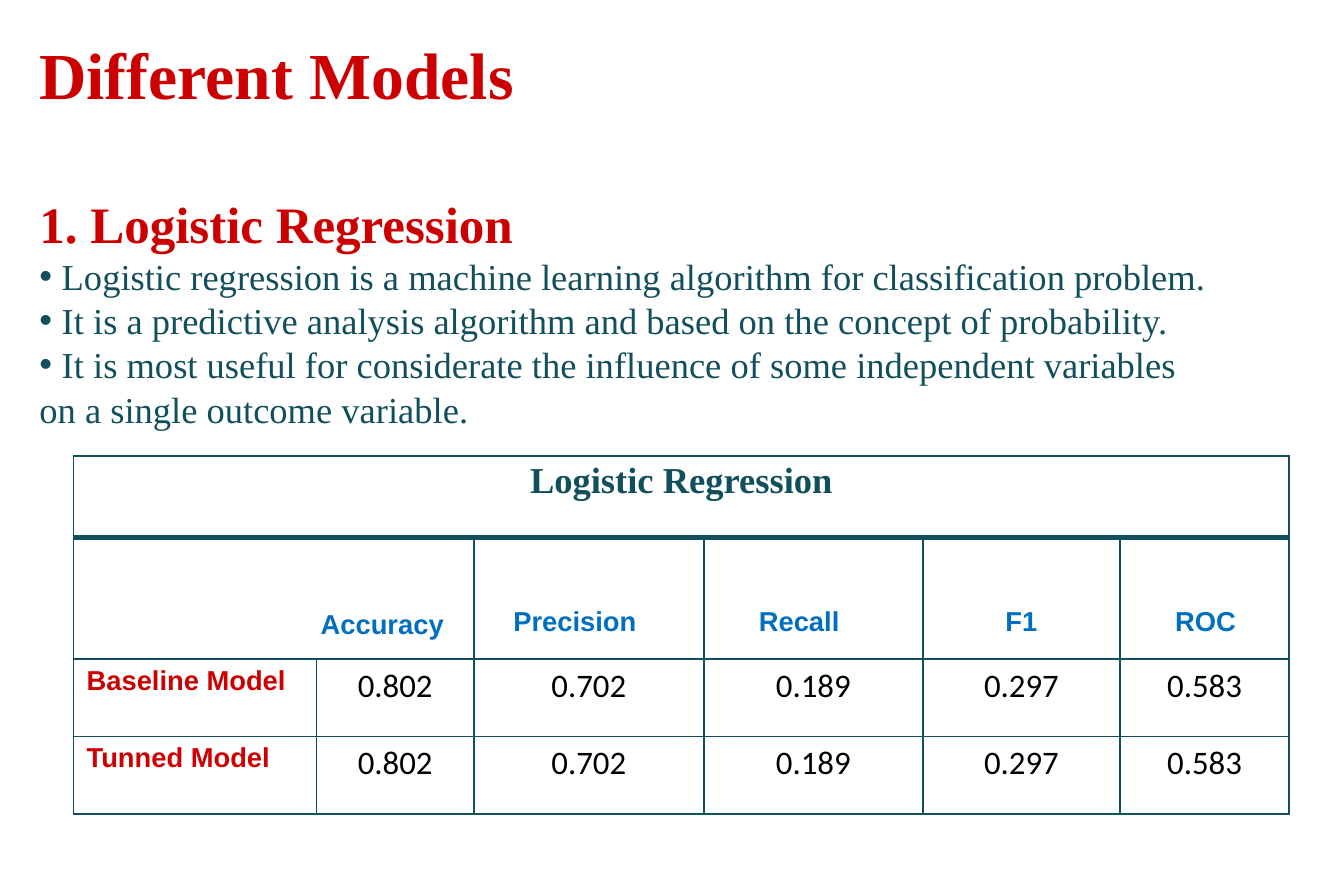
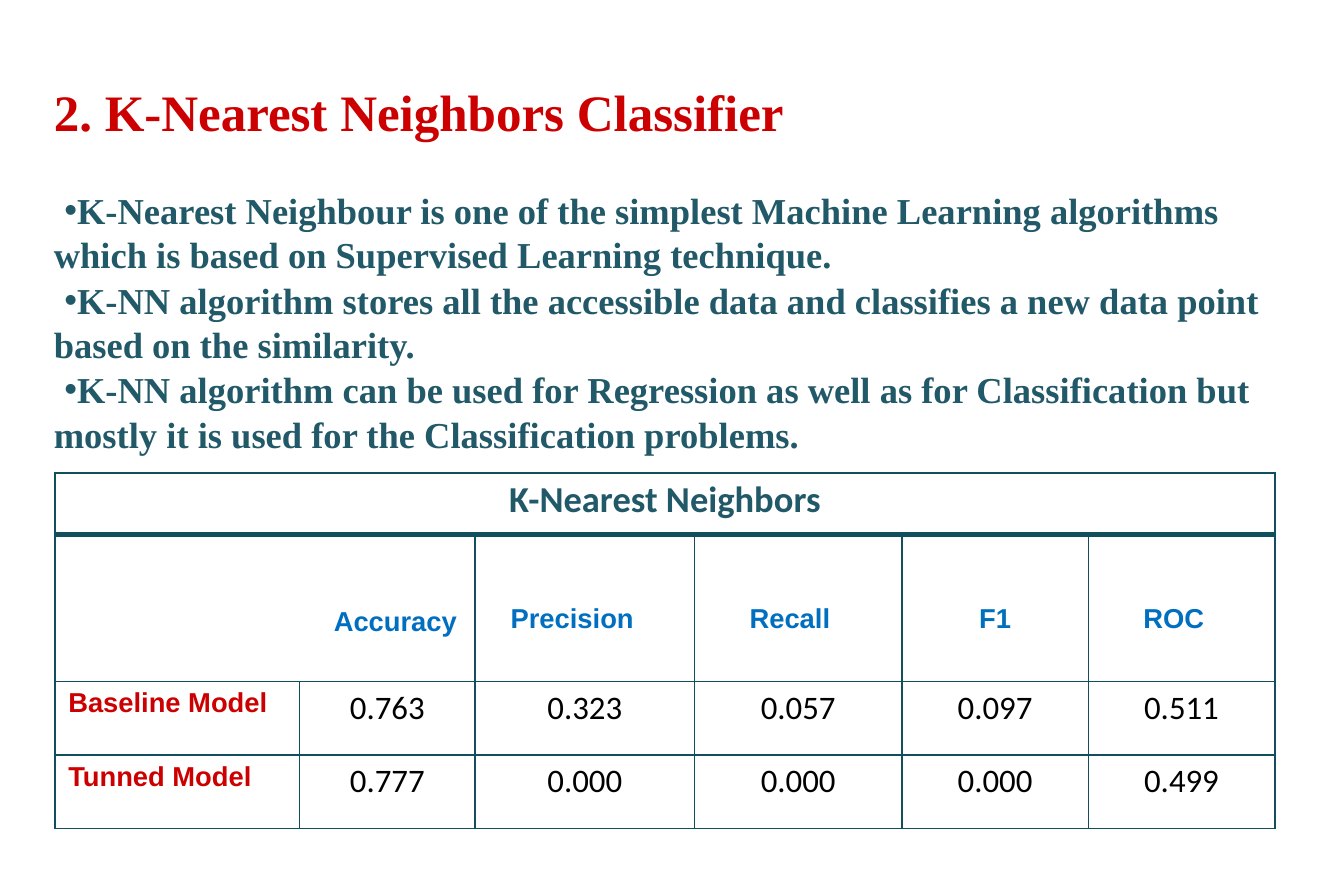
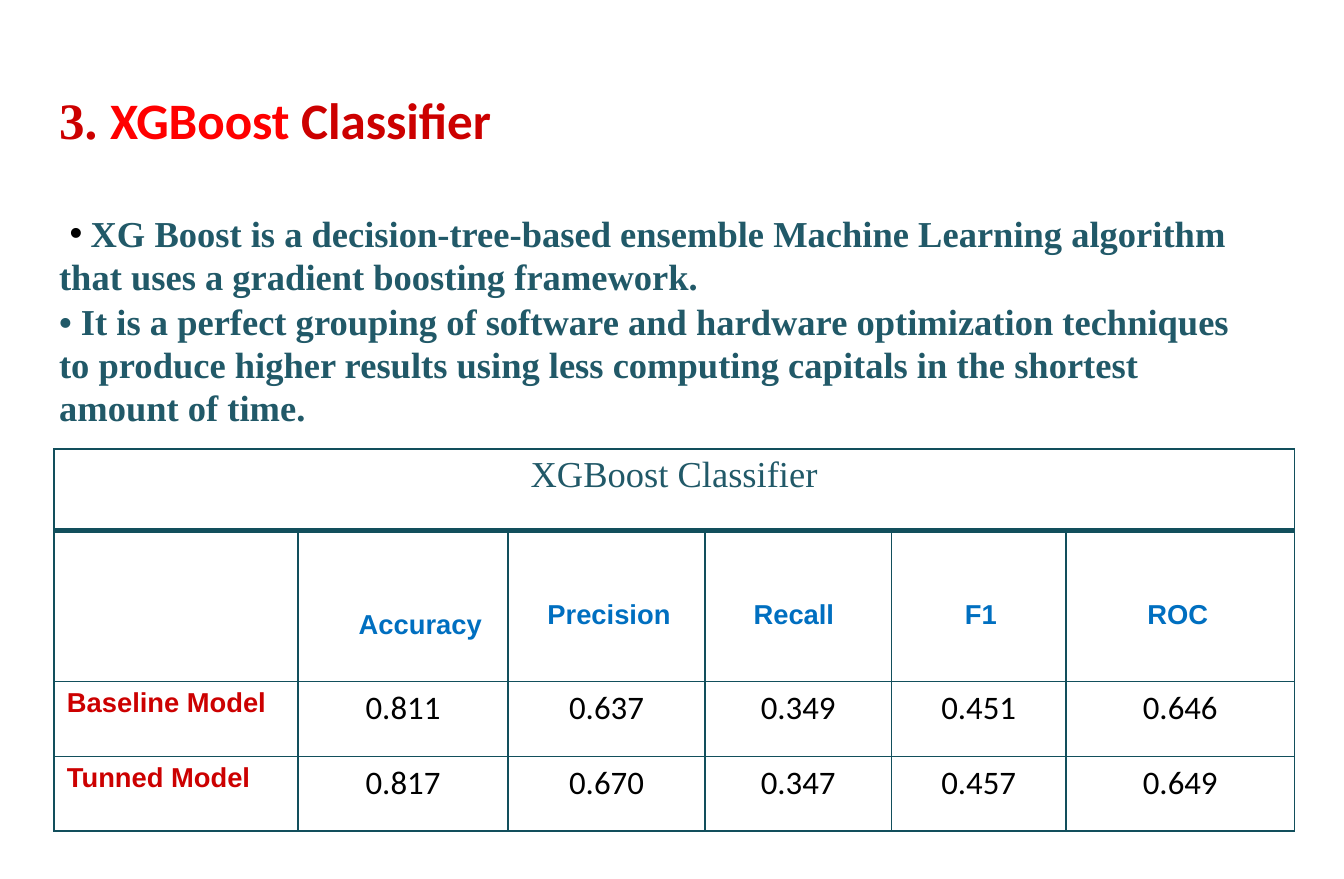
from dataclasses import dataclass
from lxml import etree
from pptx import Presentation
from pptx.dml import color
from pptx.enum import text
from pptx.oxml import ns
from pptx.util import Inches, Pt


@dataclass(frozen=True)
class Style:
    font: str
    size: int
    color: str
    bold: bool = False


class Theme:
    serif, sans, plain = "Times New Roman", "Arial", "Calibri"
    red, bright_red, blue, black = "CC0000", "FF0000", "006FC0", "000000"
    teal, slate = "124F5C", "215968"
    title = Style(serif, 36, red, True)
    heading = Style(serif, 28, red, True)
    heading_bright = Style(plain, 28, bright_red, True)
    heading_plain = Style(plain, 28, red, True)
    body = Style(serif, 20, teal)
    body_bold = Style(serif, 20, slate, True)
    bullet_gap = Style(plain, 20, black)
    metric = Style(sans, 15, blue, True)
    model = Style(sans, 15, red, True)
    value = Style(plain, 18, black)
    line, thick_line = 1, 3


def fill_paragraph(para, runs, align=text.PP_ALIGN.LEFT):
    para.alignment = align
    for words, style in runs:
        span = para.add_run()
        span.text = words
        span.font.name = style.font
        span.font.size = Pt(style.size)
        span.font.bold = style.bold
        span.font.color.rgb = color.RGBColor.from_string(style.color)


def outline_cell(cell, row):
    widths = {
        "lnL": Theme.line,
        "lnR": Theme.line,
        "lnT": Theme.thick_line if row == 1 else Theme.line,
        "lnB": Theme.thick_line if row == 0 else Theme.line,
    }
    props = cell._tc.get_or_add_tcPr()
    for side, width in widths.items():
        edge = etree.SubElement(props, ns.qn(f"a:{side}"), w=str(Pt(width)))
        fill = etree.SubElement(edge, ns.qn("a:solidFill"))
        etree.SubElement(fill, ns.qn("a:srgbClr"), val=Theme.teal)
    cell.fill.background()


cm_per_inch = 2.54
metrics = ["Accuracy", "Precision", "Recall", "F1", "ROC"]
models = ["Baseline Model", "Tunned Model"]
hanging, inset, flush = (0.18, -0.17), (0.01, 0.08), (0.01, 0)

slides = [
    {
        "title": [("Different Models", Theme.title)],
        "title_box": (0.29, 0.24, 3.66, 0.63),
        "body_box": (0.29, 1.45, 9.18, 1.83),
        "pitch": 24.1,
        "before": 0.1,
        "body": [
            ([("1. Logistic Regression", Theme.heading)], False, flush),
            ([("Logistic regression is a machine learning algorithm for classification problem.", Theme.body)], True, hanging),
            ([("It is a predictive analysis algorithm and based on the concept of probability.", Theme.body)], True, hanging),
            ([("It is most useful for considerate the influence of some independent variables", Theme.body)], True, hanging),
            ([("on a single outcome variable.", Theme.body)], False, flush),
        ],
        "caption": ("Logistic Regression", Style(Theme.serif, 20, Theme.teal, True)),
        "table_at": (0.56, 3.47),
        "columns": [1.85, 1.2, 1.75, 1.67, 1.5, 1.29],
        "rows": [0.62, 0.93, 0.59, 0.59],
        "joined": True,
        "accuracy_drop": 0.55,
        "accuracy_right": 0.23,
        "insets": [0, 0.3, 0.42, None, 0.42],
        "values": [["0.802", "0.702", "0.189", "0.297", "0.583"]] * 2,
    },
    {
        "title": [("2. K-Nearest Neighbors Classifier", Theme.heading)],
        "title_box": (0.4, 0.6, 5.97, 0.49),
        "body_box": (0.4, 1.42, 9.3, 2.78),
        "pitch": 24.2,
        "before": 0.7,
        "body": [
            ([("K-Nearest Neighbour is one of the simplest Machine Learning algorithms which is based on Supervised Learning technique.", Theme.body_bold)], True, inset),
            ([("K-NN algorithm stores all the accessible data and classifies a new data point based on the similarity.", Theme.body_bold)], True, inset),
            ([("K-NN algorithm can be used for Regression as well as for Classification but mostly it is used for the Classification problems.", Theme.body_bold)], True, inset),
        ],
        "caption": ("K-Nearest Neighbors", Style(Theme.plain, 20, Theme.slate, True)),
        "table_at": (0.42, 3.6),
        "columns": [1.86, 1.34, 1.67, 1.58, 1.42, 1.42],
        "rows": [0.47, 1.12, 0.56, 0.56],
        "joined": True,
        "accuracy_drop": 0.55,
        "accuracy_right": 0.14,
        "insets": [0, 0.27, 0.42, None, 0.42],
        "values": [
            ["0.763", "0.323", "0.057", "0.097", "0.511"],
            ["0.777", "0.000", "0.000", "0.000", "0.499"],
        ],
    },
    {
        "title": [("3. ", Theme.heading), ("XGBoost ", Theme.heading_bright), ("Classifier", Theme.heading_plain)],
        "title_box": (0.44, 0.66, 4.68, 0.5),
        "body_box": (0.44, 1.6, 9.19, 1.71),
        "pitch": 23.6,
        "before": 1.1,
        "body": [
            ([(" ", Theme.bullet_gap), ("XG Boost is a decision-tree-based ensemble Machine Learning algorithm that uses a gradient boosting framework.", Theme.body_bold)], True, inset),
            ([("• It is a perfect grouping of software and hardware optimization techniques to produce higher results using less computing capitals in the shortest amount of time.", Theme.body_bold)], False, flush),
        ],
        "caption": ("XGBoost Classifier", Style(Theme.serif, 20, Theme.slate)),
        "table_at": (0.41, 3.42),
        "columns": [1.86, 1.6, 1.5, 1.42, 1.33, 1.74],
        "rows": [0.62, 1.15, 0.57, 0.57],
        "joined": False,
        "accuracy_drop": 0.6,
        "accuracy_right": 0.2,
        "insets": [0, 0.3, 0.37, 0.56, 0.62],
        "values": [
            ["0.811", "0.637", "0.349", "0.451", "0.646"],
            ["0.817", "0.670", "0.347", "0.457", "0.649"],
        ],
    },
]

deck = Presentation()
deck.slide_width = Inches(26 / cm_per_inch)
deck.slide_height = Inches(17 / cm_per_inch)

for data in slides:
    page = deck.slides.add_slide(deck.slide_layouts[1])
    title, body = page.shapes.title, page.placeholders[1]

    for box, place in ((title, data["title_box"]), (body, data["body_box"])):
        box.left, box.top, box.width, box.height = map(Inches, place)
        frame = box.text_frame
        frame.margin_left = frame.margin_right = frame.margin_bottom = 0
        frame.margin_top = Inches(0.01)
        frame.vertical_anchor = text.MSO_ANCHOR.TOP
        frame.auto_size = text.MSO_AUTO_SIZE.NONE
        frame.word_wrap = True

    para = title.text_frame.paragraphs[0]
    fill_paragraph(para, data["title"])
    para.space_before = Pt(1)
    para.line_spacing = Pt(44 if data["title"][0][1] is Theme.title else 34)
    para._p.get_or_add_pPr().set("marL", str(Inches(0.01)))

    for index, (runs, bulleted, (margin, indent)) in enumerate(data["body"]):
        frame = body.text_frame
        para = frame.add_paragraph() if index else frame.paragraphs[0]
        fill_paragraph(para, runs)
        para.space_before = Pt(data["before"])
        para.line_spacing = Pt(34 if runs[0][1] is Theme.heading else data["pitch"])
        props = para._p.get_or_add_pPr()
        props.set("marL", str(Inches(margin)))
        props.set("indent", str(Inches(indent)))
        if bulleted:
            etree.SubElement(props, ns.qn("a:buChar"), char="•")
        else:
            etree.SubElement(props, ns.qn("a:buNone"))

    columns, rows = data["columns"], data["rows"]
    left, top = data["table_at"]
    grid = page.shapes.add_table(
        len(rows), len(columns), Inches(left), Inches(top),
        Inches(sum(columns)), Inches(sum(rows)),
    ).table
    grid.first_row = grid.horz_banding = False
    for column, width in zip(grid.columns, columns):
        column.width = Inches(width)
    for row, height in zip(grid.rows, rows):
        row.height = Inches(height)
    for row in range(len(rows)):
        for column in range(len(columns)):
            cell = grid.cell(row, column)
            cell.margin_left = cell.margin_right = cell.margin_bottom = 0
            cell.margin_top = Inches(0.05 if row > 1 else 0.04)
            outline_cell(cell, row)

    grid.cell(0, 0).merge(grid.cell(0, len(columns) - 1))
    fill_paragraph(grid.cell(0, 0).text_frame.paragraphs[0], [data["caption"]], text.PP_ALIGN.CENTER)

    if data["joined"]:
        grid.cell(1, 0).merge(grid.cell(1, 1))
    for index, (metric, offset) in enumerate(zip(metrics, data["insets"])):
        cell = grid.cell(1, 0 if data["joined"] and index == 0 else index + 1)
        cell.margin_top = Inches(0.53 if index else data["accuracy_drop"])
        cell.margin_left = Inches(offset or 0)
        align = text.PP_ALIGN.CENTER if offset is None else text.PP_ALIGN.LEFT
        if index == 0:
            cell.margin_right = Inches(data["accuracy_right"])
            align = text.PP_ALIGN.RIGHT
        fill_paragraph(cell.text_frame.paragraphs[0], [(metric, Theme.metric)], align)

    for row, (model, values) in enumerate(zip(models, data["values"]), start=2):
        name_cell = grid.cell(row, 0)
        name_cell.margin_left = Inches(0.1)
        fill_paragraph(name_cell.text_frame.paragraphs[0], [(model, Theme.model)])
        for column, value in enumerate(values, start=1):
            para = grid.cell(row, column).text_frame.paragraphs[0]
            fill_paragraph(para, [(value, Theme.value)], text.PP_ALIGN.CENTER)

deck.save("out.pptx")
